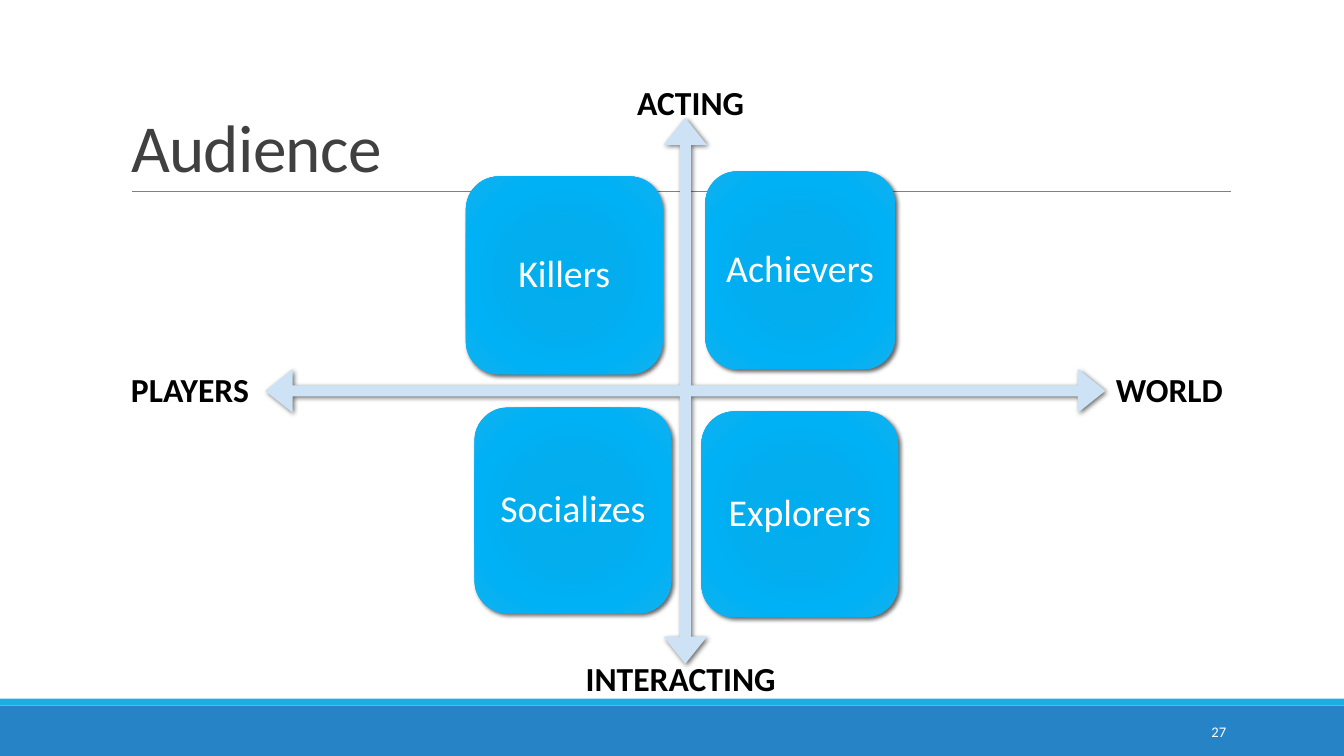
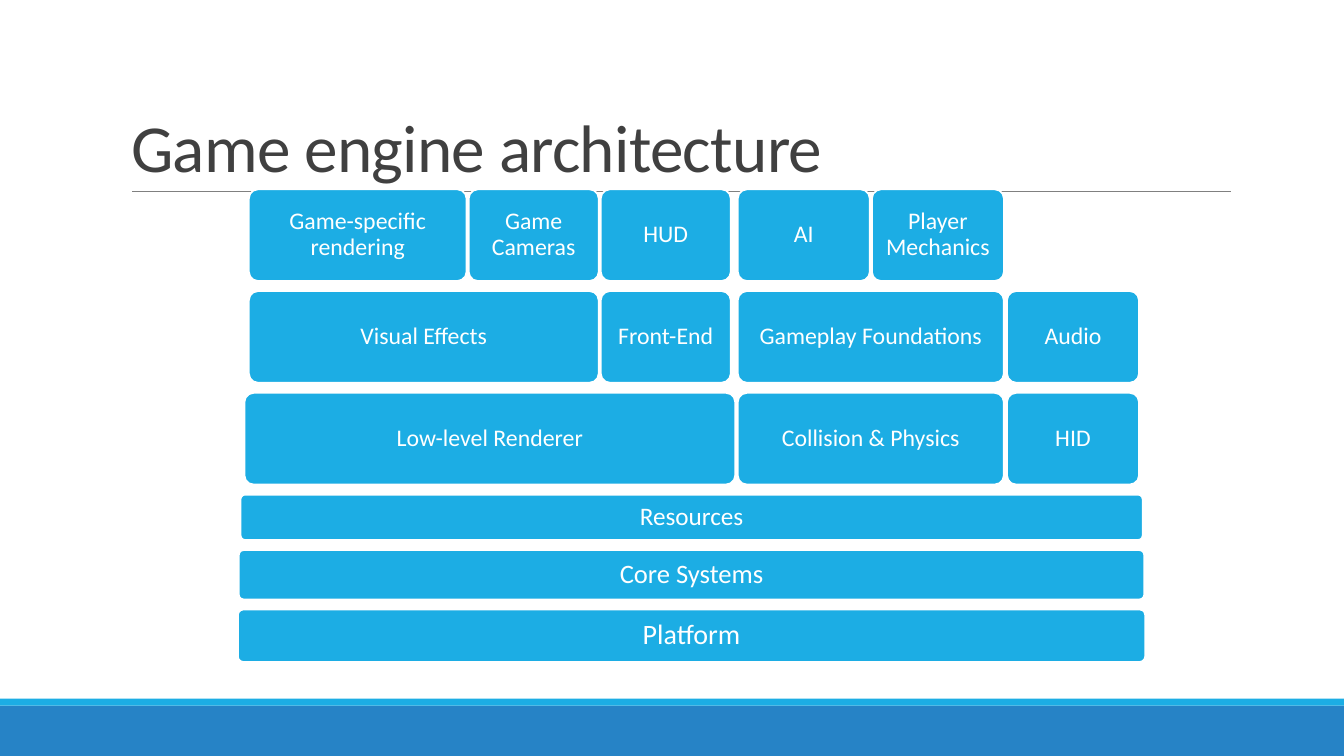
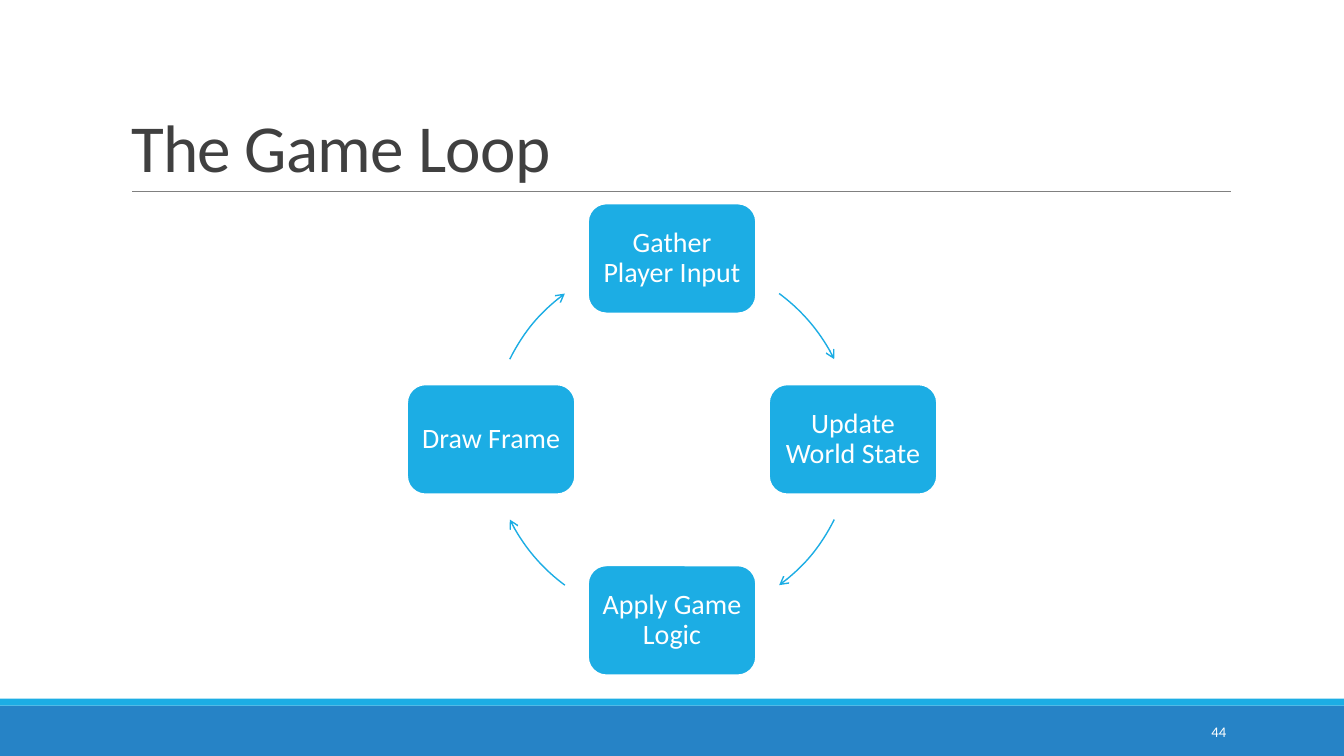
from math import cos, radians, sin

from lxml import etree
from pptx import Presentation
from pptx.dml.color import RGBColor
from pptx.enum.shapes import MSO_CONNECTOR, MSO_SHAPE
from pptx.enum.text import MSO_ANCHOR, MSO_AUTO_SIZE, PP_ALIGN
from pptx.oxml.ns import qn
from pptx.util import Pt

RECT, ROUND = MSO_SHAPE.RECTANGLE, MSO_SHAPE.ROUNDED_RECTANGLE
CROSS, ARC = MSO_SHAPE.QUAD_ARROW, MSO_SHAPE.ARC
STRAIGHT = MSO_CONNECTOR.STRAIGHT
MIDDLE, BOTTOM = MSO_ANCHOR.MIDDLE, MSO_ANCHOR.BOTTOM
LEFT, CENTER, RIGHT = PP_ALIGN.LEFT, PP_ALIGN.CENTER, PP_ALIGN.RIGHT

SKY = RGBColor(0x1C, 0xAD, 0xE4)
BLUE = RGBColor(0x26, 0x83, 0xC6)
PALE = RGBColor(0xCD, 0xE3, 0xF5)
GRAY = RGBColor(0x80, 0x80, 0x80)
DARK = RGBColor(0x40, 0x40, 0x40)
BLACK = RGBColor(0, 0, 0)
WHITE = RGBColor(0xFF, 0xFF, 0xFF)
GLOW = ((0, RGBColor(0x00, 0xAD, 0xEF)), (34, RGBColor(0x03, 0xAD, 0xEE)),
        (70, RGBColor(0x00, 0xB1, 0xF5)), (100, RGBColor(0x12, 0xB1, 0xEE)))

FONT = "Calibri"
WIDE, HIGH = 960, 540


def points(*sizes):
    return [Pt(size) for size in sizes]


def add(parent, tag, **attrs):
    node = etree.SubElement(parent, qn(tag))
    for key, value in attrs.items():
        node.set(key, str(value))
    return node


def write(shape, text, size, color, align=LEFT, bold=False, pitch=None):
    frame = shape.text_frame
    frame.word_wrap = True
    frame.text = text
    line = frame.paragraphs[0]
    line.alignment = align
    if pitch:
        line.line_spacing = pitch
    font = line.runs[0].font
    font.name, font.size, font.bold = FONT, Pt(size), bold
    font.color.rgb = color


def block(slide, kind, box, fill, edge=None):
    shape = slide.shapes.add_shape(kind, *points(*box))
    shape.shadow.inherit = False
    shape.fill.solid()
    shape.fill.fore_color.rgb = fill
    if edge:
        shape.line.color.rgb = edge
        shape.line.width = Pt(1.25)
    else:
        shape.line.fill.background()
    return shape


def tile(slide, box, text, size, edge=WHITE):
    """Rounded block with a centred caption and padding to suit its size."""
    shape = block(slide, ROUND, box, SKY, edge)
    write(shape, text, size, WHITE, CENTER, pitch=0.9)
    frame = shape.text_frame
    frame.vertical_anchor = MIDDLE
    pad = Pt(round(size * 0.28, 2))
    frame.margin_left = frame.margin_right = pad
    frame.margin_top = frame.margin_bottom = pad
    return shape


def shade(shape):
    """Soft shadow to the lower right."""
    effects = shape.element.spPr.find(qn("a:effectLst"))
    shadow = add(effects, "a:outerShdw", blurRad=Pt(3), dist=Pt(2),
                 dir=45 * 60000, rotWithShape=0)
    add(add(shadow, "a:srgbClr", val=BLACK), "a:alpha", val=60000)


def glow(shape):
    """Swap the plain fill for a round gradient."""
    props = shape.element.spPr
    plain = props.find(qn("a:solidFill"))
    grad = etree.Element(qn("a:gradFill"), rotWithShape="1")
    stops = add(grad, "a:gsLst")
    for place, color in GLOW:
        add(add(stops, "a:gs", pos=place * 1000), "a:srgbClr", val=color)
    fade = add(grad, "a:path", path="circle")
    add(fade, "a:fillToRect", l=100000, t=100000, r=100000, b=100000)
    props.replace(plain, grad)


def label(slide, box, text, size, color, align=LEFT, bold=False):
    shape = slide.shapes.add_textbox(*points(*box))
    write(shape, text, size, color, align, bold)
    return shape


def dress(layout, slide):
    """Draw bands and title rule, then move them to the shared layout."""
    for spare in list(layout.placeholders)[1:]:
        spare.element.getparent().remove(spare.element)
    base = block(slide, RECT, (0, 504, WIDE, 36), BLUE)
    strip = block(slide, RECT, (0, 499, WIDE, 5), SKY)
    rule = slide.shapes.add_connector(STRAIGHT, *points(94.5, 136.8, 879, 136.8))
    rule.line.color.rgb = GRAY
    rule.line.width = Pt(0.5)
    add(rule.element.spPr, "a:effectLst")
    tree = layout.placeholders[0].element.getparent()
    for part in (base, strip, rule):
        tree.append(part.element)


def head(slide, text, number=None):
    title = slide.shapes.title
    title.left, title.top, title.width, title.height = points(86.4, 22.3, 792, 114.5)
    write(title, text, 48, DARK, pitch=0.85)
    frame = title.text_frame
    frame.auto_size = MSO_AUTO_SIZE.NONE
    frame.vertical_anchor = BOTTOM
    frame.paragraphs[0].runs[0].font._element.set("spc", "-50")
    if number:
        mark = label(slide, (780, 508.3, 103, 28.8), number, 10.5, WHITE, RIGHT)
        mark.text_frame.vertical_anchor = MIDDLE


def matrix(slide, box):
    """Crossed arrows with four player types and the axis names."""
    left, top, width, height = box
    cross = block(slide, CROSS, box, PALE)
    for index, value in enumerate((0.02, 0.04, 0.05)):
        cross.adjustments[index] = value
    shade(cross)
    types = (("Killers", 143.3, 41.8, 140.5, 141.3),
             ("Achievers", 314.3, 38.2, 135.5, 141.3),
             ("Socializes", 149.5, 207, 140.5, 147),
             ("Explorers", 311.5, 209.7, 140.5, 147))
    for text, x, y, wide, high in types:
        shape = tile(slide, (left + x, top + y, wide, high), text, 27, None)
        glow(shape)
        shade(shape)
    mid = top + height / 2 - 19
    axes = (("PLAYERS", left - 103, mid, 102),
            ("WORLD", left + width + 0.5, mid, 102),
            ("ACTING", left + 258.5, top - 29.5, 102),
            ("INTERACTING", left + 221.7, top + height - 7.7, 192))
    for text, x, y, wide in axes:
        label(slide, (x, y, wide, 36), text, 24, BLACK, bold=True)


def stack(slide, box):
    """Three rows of modules on a column grid, above full-width bars."""
    left, top, width = box
    cols = ((7.8, 155.5), (164.8, 92.9), (259.1, 92.9),
            (357, 94.3), (452.8, 94.3), (549.3, 94.3))
    rows = ((("Game-specific rendering", 0, 0, 0), ("Game Cameras", 1, 1, 0),
             ("HUD", 2, 2, 0), ("AI", 3, 3, 0), ("Player Mechanics", 4, 4, 0)),
            (("Visual Effects", 0, 1, 0), ("Front-End", 2, 2, 0),
             ("Gameplay Foundations", 3, 4, 0), ("Audio", 5, 5, 0)),
            (("Low-level Renderer", 0, 2, 3.2), ("Collision & Physics", 3, 4, 0),
             ("HID", 5, 5, 0)))
    bars = (("Resources", 18, 32.4, 1.8), ("Core Systems", 19, 35.3, 0.6),
            ("Platform", 20, 37.4, 0))
    gap, high = 7.2, 65.5
    y = top
    for row in rows:
        for text, first, last, out in row:
            x = cols[first][0] - out
            wide = sum(cols[last]) + out - x
            tile(slide, (left + x, y, wide, high), text, 17).adjustments[0] = 0.1
        y += high + gap
    for text, size, tall, inset in bars:
        spot = (left + inset, y, width - 2 * inset, tall)
        tile(slide, spot, text, size).adjustments[0] = 0.1
        y += tall + gap


def cycle(slide, box):
    """Four steps on a ring, with an arc arrow after each."""
    left, top, size = box
    radius = size / 2
    wide, high, sweep = 120, 78.5, 13.7
    steps = (("Gather Player Input", 270, 320), ("Update World State", 0, 40),
             ("Apply Game Logic", 90, 140), ("Draw Frame", 180, 220))
    for text, angle, bend in steps:
        x = left + radius + radius * cos(radians(angle)) - wide / 2
        y = top + radius + radius * sin(radians(angle)) - high / 2
        tile(slide, (x, y, wide, high), text, 20)
        arc = slide.shapes.add_shape(ARC, *points(left, top, size, size))
        arc.shadow.inherit = False
        arc.fill.background()
        arc.line.color.rgb = SKY
        arc.line.width = Pt(1)
        # Angles are stored in 1/60000 degree, adjustments in 1/100000
        arc.adjustments[0] = (bend - sweep) * 0.6
        arc.adjustments[1] = (bend + sweep) * 0.6
        add(arc.element.spPr.find(qn("a:ln")), "a:tailEnd", type="arrow")


def main():
    deck = Presentation()
    deck.slide_width, deck.slide_height = points(WIDE, HIGH)
    layout = deck.slide_layouts[5]
    pages = (("Audience", "27", matrix, (189.5, 84.2, 600, 390)),
             ("Game engine architecture", None, stack, (170, 135.2, 648)),
             ("The Game Loop", "44", cycle, (350.8, 184.6, 258.5)))
    for index, (title, number, draw, box) in enumerate(pages):
        slide = deck.slides.add_slide(layout)
        if index == 0:
            dress(layout, slide)
        head(slide, title, number)
        draw(slide, box)
    deck.save("out.pptx")


if __name__ == "__main__":
    main()
